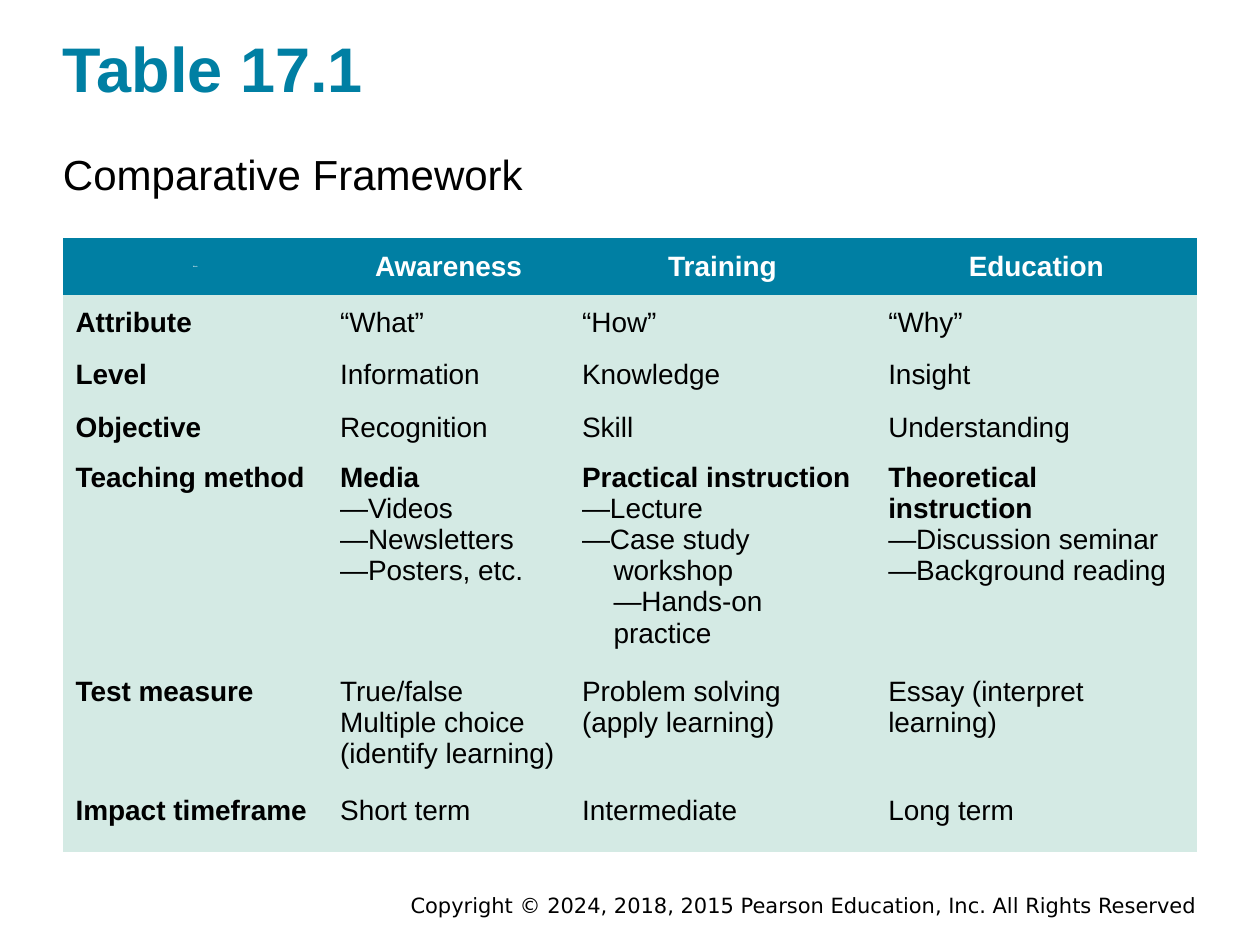
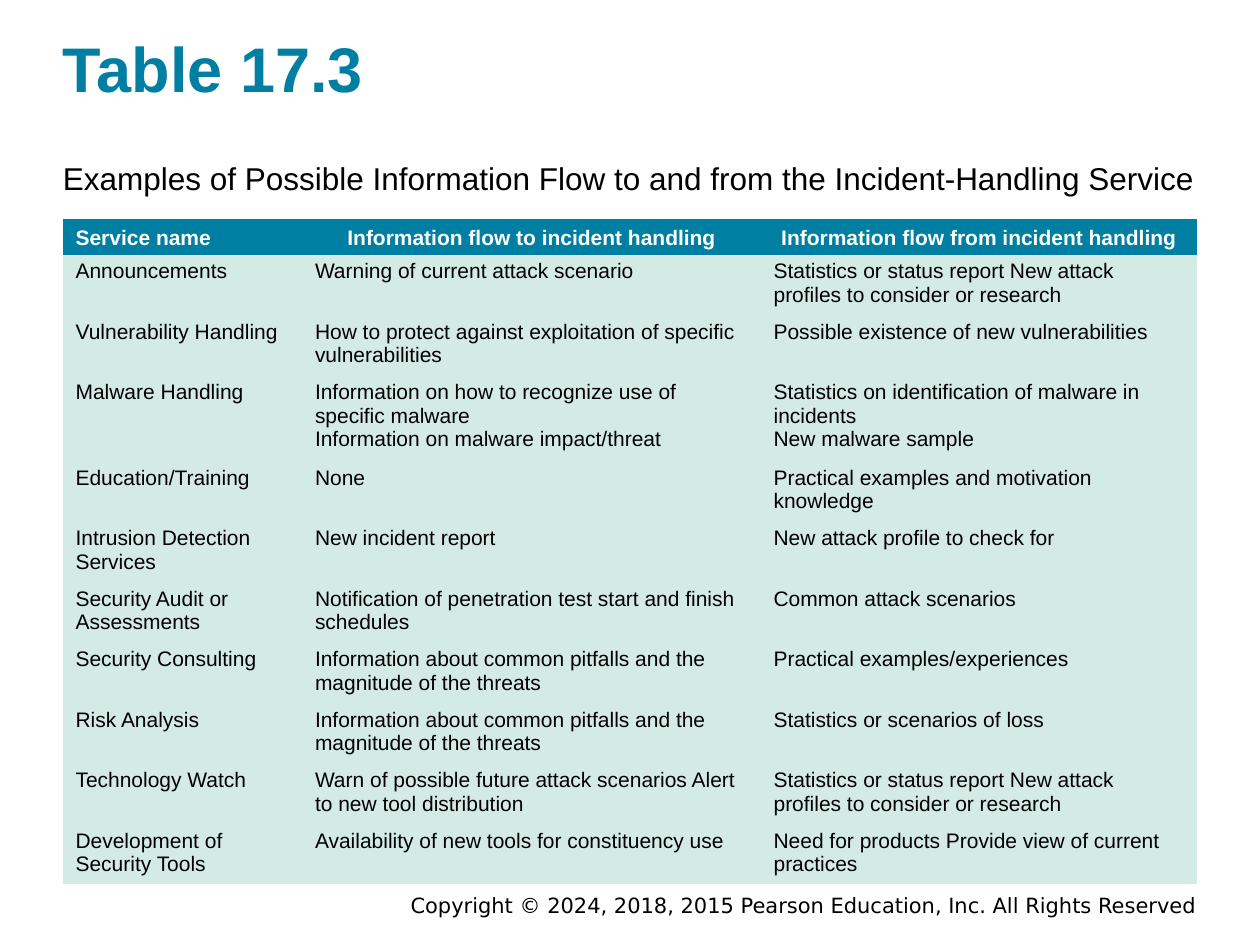
from typing import NamedTuple

from pptx import Presentation
from pptx.dml.color import RGBColor
from pptx.enum.text import MSO_ANCHOR as Anchor, PP_ALIGN as Align
from pptx.util import Inches, Pt

TEAL = RGBColor(0x00, 0x7F, 0xA3)
MINT = RGBColor(0xD4, 0xEA, 0xE4)
WHITE = RGBColor(0xFF, 0xFF, 0xFF)
BLACK = RGBColor(0x00, 0x00, 0x00)
FONT = "Arial"
FOOTER_FONT = "DejaVu Sans"
NO_GRID_STYLE = "{2D5ABB26-0587-4C30-8999-92F81FD0307C}"
LEFT, WIDTH = 0.5, 9
COPYRIGHT = "Copyright © 2024, 2018, 2015 Pearson Education, Inc. All Rights Reserved"


class Para(NamedTuple):
    text: str = ""
    lead: str = ""
    margin: float = 0
    indent: float = 0


FRAMEWORK = [
    ["Blank", "Awareness", "Training", "Education"],
    ["Attribute", "“What”", "“How”", "“Why”"],
    ["Level", "Information", "Knowledge", "Insight"],
    ["Objective", "Recognition", "Skill", "Understanding"],
    ["Teaching method",
     [Para(lead="Media"), Para("—Videos"), Para("—Newsletters"), Para("—Posters, etc.")],
     [Para(" —Lecture", lead="Practical instruction"),
      Para("—Case study workshop", margin=0.25, indent=-0.25),
      Para("—Hands-on practice", margin=0.25)],
     [Para(lead="Theoretical instruction"), Para("—Discussion seminar —Background reading")]],
    ["Test measure", "True/false Multiple choice (identify learning)",
     "Problem solving (apply learning)", "Essay (interpret learning)"],
    ["Impact timeframe", "Short term", "Intermediate", "Long term"],
]

INCIDENT_FLOW = [
    ["Service name", "Information flow to incident handling",
     "Information flow from incident handling"],
    ["Announcements", "Warning of current attack scenario",
     "Statistics or status report New attack profiles to consider or research"],
    ["Vulnerability Handling",
     "How to protect against exploitation of specific vulnerabilities",
     "Possible existence of new vulnerabilities"],
    ["Malware Handling",
     [Para("Information on how to recognize use of specific malware"),
      Para("Information on malware impact/threat")],
     [Para("Statistics on identification of malware in incidents"),
      Para("New malware sample")]],
    ["Education/Training", "None", "Practical examples and motivation knowledge"],
    ["Intrusion Detection Services", "New incident report",
     "New attack profile to check for"],
    ["Security Audit or Assessments",
     "Notification of penetration test start and finish schedules",
     "Common attack scenarios"],
    ["Security Consulting",
     "Information about common pitfalls and the magnitude of the threats",
     "Practical examples/experiences"],
    ["Risk Analysis",
     "Information about common pitfalls and the magnitude of the threats",
     "Statistics or scenarios of loss"],
    ["Technology Watch",
     "Warn of possible future attack scenarios Alert to new tool distribution",
     "Statistics or status report New attack profiles to consider or research"],
    ["Development of Security Tools", "Availability of new tools for constituency use",
     "Need for products Provide view of current practices"],
]

SLIDES = [
    dict(title="Table 17.1", caption="Comparative Framework",
         caption_box=(LEFT, 1.16, WIDTH, 0.44), caption_size=24,
         table=dict(rows=FRAMEWORK, top=1.89, size=16, inset=0.05,
                    widths=[2.1, 1.92, 2.43, 2.55],
                    heights=[0.45, 0.44, 0.39, 0.45, 1.7, 0.94, 0.5],
                    anchors=[Anchor.MIDDLE] * 4 + [Anchor.TOP] * 3,
                    bold_labels=True)),
    dict(title="Table 17.3",
         caption="Examples of Possible Information Flow to and from the Incident-Handling Service",
         caption_box=(LEFT, 1.24, WIDTH, 0.34), caption_size=18,
         table=dict(rows=INCIDENT_FLOW, top=1.74, size=12, inset=0.04,
                    widths=[1.9, 3.64, 3.46],
                    heights=[0.27, 0.47, 0.47, 0.67] + [0.47] * 7,
                    anchors=[Anchor.BOTTOM] + [Anchor.TOP] * 10,
                    bold_labels=False)),
]


def set_font(font, size, color, bold=False, name=FONT):
    font.name, font.size, font.bold = name, Pt(size), bold
    font.color.rgb = color


def add_text(slide, box, text, size, color, bold=False, name=FONT, align=Align.LEFT):
    tf = slide.shapes.add_textbox(*map(Inches, box)).text_frame
    tf.word_wrap = True
    tf.vertical_anchor = Anchor.MIDDLE
    tf.margin_left = tf.margin_right = 0
    tf.margin_top = tf.margin_bottom = Inches(0.02)
    p = tf.paragraphs[0]
    p.text, p.alignment = text, align
    set_font(p.font, size, color, bold, name)


def fill_cell(cell, content, size, color, bold, align):
    paras = [Para(content)] if isinstance(content, str) else content
    tf = cell.text_frame
    for i, para in enumerate(paras):
        p = tf.add_paragraph() if i else tf.paragraphs[0]
        p.alignment = align
        if para.margin:
            pPr = p._p.get_or_add_pPr()
            pPr.set("marL", str(Inches(para.margin)))
            pPr.set("indent", str(Inches(para.indent)))
        set_font(p.font, size, color, bold)
        for text, run_bold in ((para.lead, True), (para.text, bold)):
            if text:
                r = p.add_run()
                r.text = text
                set_font(r.font, size, color, run_bold)


def add_table(slide, rows, top, size, inset, widths, heights, anchors, bold_labels):
    frame = slide.shapes.add_table(len(rows), len(widths), Inches(LEFT), Inches(top),
                                   Inches(WIDTH), Inches(sum(heights)))
    table = frame.table
    table.horz_banding = False
    table._tbl.tblPr[0].text = NO_GRID_STYLE
    for column, width in zip(table.columns, widths):
        column.width = Inches(width)
    for i, row in enumerate(rows):
        table.rows[i].height = Inches(heights[i])
        header = i == 0
        for j, content in enumerate(row):
            cell = table.cell(i, j)
            cell.fill.solid()
            cell.fill.fore_color.rgb = TEAL if header else MINT
            cell.vertical_anchor = anchors[i]
            cell.margin_top = cell.margin_bottom = Inches(inset)
            centred = header and content != "Service name"
            fill_cell(cell, content, 1 if content == "Blank" else size,
                      WHITE if header else BLACK,
                      header or (bold_labels and j == 0),
                      Align.CENTER if centred else Align.LEFT)


def main():
    prs = Presentation()
    prs.slide_width, prs.slide_height = Inches(10), Inches(7.5)
    for content in SLIDES:
        slide = prs.slides.add_slide(prs.slide_layouts[6])
        add_text(slide, (2.3, 7.06, 7.2, 0.24), COPYRIGHT, 12, BLACK,
                 name=FOOTER_FONT, align=Align.RIGHT)
        add_text(slide, (LEFT, 0.21, WIDTH, 0.65), content["title"], 36, TEAL, bold=True)
        add_text(slide, content["caption_box"], content["caption"],
                 content["caption_size"], BLACK)
        add_table(slide, **content["table"])
    prs.save("out.pptx")


if __name__ == "__main__":
    main()
